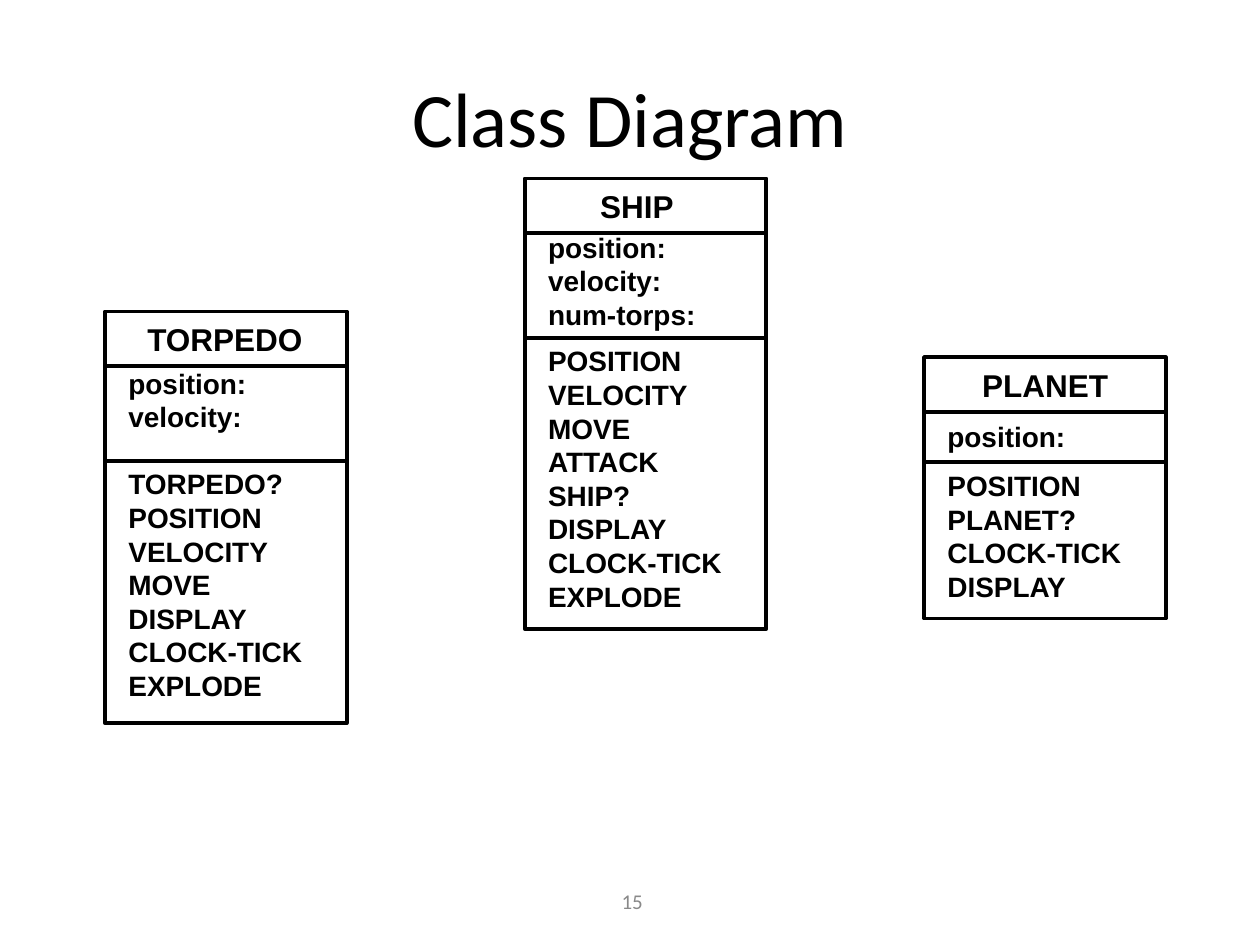
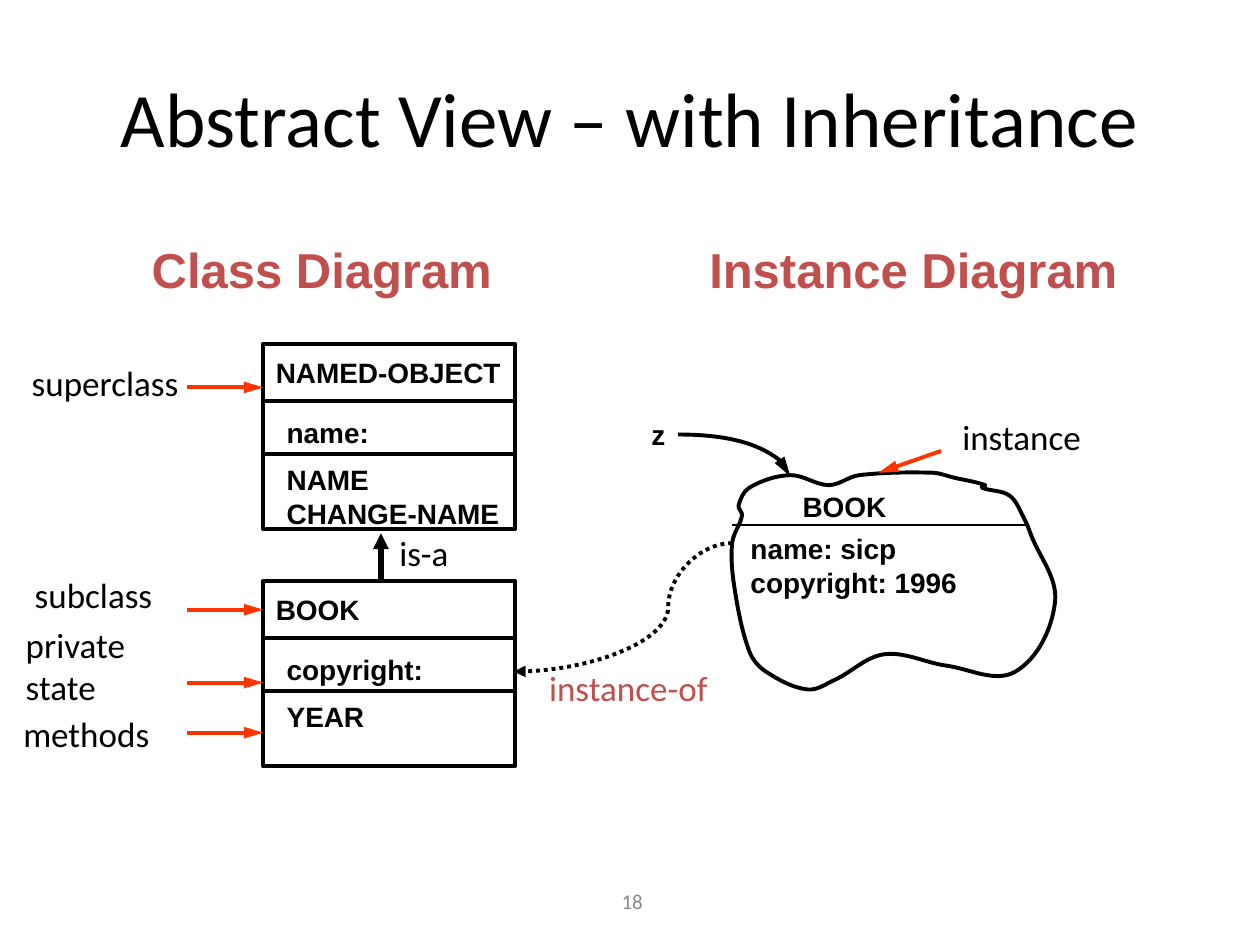
from dataclasses import dataclass

from lxml.etree import SubElement
from pptx import Presentation
from pptx.dml.color import RGBColor
from pptx.enum.dml import MSO_LINE
from pptx.enum.shapes import MSO_CONNECTOR as LINK, MSO_SHAPE
from pptx.enum.text import MSO_ANCHOR as ANCHOR, PP_ALIGN as ALIGN
from pptx.oxml.ns import qn
from pptx.util import Cm, Pt


@dataclass(frozen=True)
class TextStyle:
    font: str
    size: int
    color: str = "000000"
    bold: bool = False


@dataclass(frozen=True)
class Theme:
    ink: str = "000000"
    pointer: str = "FF3300"
    rule: float = 2.25
    thin: float = 1
    heavy: float = 3
    title: TextStyle = TextStyle("Calibri", 44)
    page: TextStyle = TextStyle("Calibri", 12, "898989")
    heading: TextStyle = TextStyle("Arial", 28, "C0504D", True)
    class_name: TextStyle = TextStyle("Arial", 18, bold=True)
    member: TextStyle = TextStyle("Arial", 16, bold=True)
    note: TextStyle = TextStyle("Calibri", 20)
    accent_note: TextStyle = TextStyle("Calibri", 20, "C0504D")


THEME = Theme()


@dataclass(frozen=True)
class Compartment:
    """One band of a class box, with its text placed inside; lengths in cm."""
    height: float
    text: str
    text_width: float
    text_drop: float = 0
    indent: float = 0.22
    style: TextStyle = THEME.member


# Shared helpers
def write(frame, text, style, align=ALIGN.LEFT):
    frame.text = text
    frame.word_wrap = True
    for paragraph in frame.paragraphs:
        paragraph.alignment = align
        for run in paragraph.runs:
            run.font.name = style.font
            run.font.size = Pt(style.size)
            run.font.bold = style.bold
            run.font.color.rgb = RGBColor.from_string(style.color)


def add_label(slide, left, top, width, text, style, align=ALIGN.LEFT):
    """Add text in a box as high as its lines."""
    line_count = len(text.splitlines())
    height = 0.25 + line_count * style.size * 0.0425
    label = slide.shapes.add_textbox(Cm(left), Cm(top), Cm(width), Cm(height))
    write(label.text_frame, text, style, align)
    return label


def set_line(line, color=THEME.ink, width=THEME.rule):
    line.color.rgb = RGBColor.from_string(color)
    line.width = Pt(width)


def add_link(slide, start, end, color=THEME.ink, width=THEME.rule,
             kind=LINK.STRAIGHT, dash=None, head="lg"):
    """Draw a connector; head is the arrowhead length, or None for no arrowhead."""
    link = slide.shapes.add_connector(kind, *(Cm(v) for v in (*start, *end)))
    set_line(link.line, color, width)
    if dash:
        link.line.dash_style = dash
    properties = link._element.spPr
    if head:
        SubElement(properties.find(qn("a:ln")), qn("a:tailEnd"),
                   type="triangle", w="med", len=head)
    SubElement(properties, qn("a:effectLst"))
    return link


def set_curve(link, preset, bend=None):
    geometry = link._element.spPr.find(qn("a:prstGeom"))
    geometry.set("prst", preset)
    if bend is not None:
        SubElement(geometry.find(qn("a:avLst")), qn("a:gd"),
                   name="adj1", fmla=f"val {bend}")


def add_titled_slide(deck, title_text, page_number, title_top, title_height):
    slide = deck.slides.add_slide(deck.slide_layouts[5])
    title = slide.shapes.title
    title.left, title.width = Cm(1.27), Cm(22.86)
    title.top, title.height = Cm(title_top), Cm(title_height)
    write(title.text_frame, title_text, THEME.title, ALIGN.CENTER)
    title.text_frame.vertical_anchor = ANCHOR.MIDDLE
    page = add_label(slide, 8.72, 17.65, 8.05, page_number, THEME.page, ALIGN.CENTER)
    page.height = Cm(1.02)
    page.text_frame.vertical_anchor = ANCHOR.MIDDLE
    return slide


def add_class_box(slide, left, top, width, compartments):
    """Stack the compartments of one class and return their rectangles."""
    bands = []
    for part in compartments:
        band = slide.shapes.add_shape(MSO_SHAPE.RECTANGLE, Cm(left), Cm(top),
                                      Cm(width), Cm(part.height))
        band.shadow.inherit = False
        band.fill.background()
        set_line(band.line)
        add_label(slide, left + part.indent, top + part.text_drop,
                  part.text_width, part.text, part.style)
        bands.append(band)
        top += part.height
    return bands


# Slide 1: three classes side by side
def build_class_slide(deck):
    slide = add_titled_slide(deck, "Class Diagram", "15", 0.76, 3.18)
    classes = [
        (10.58, 3.6, "SHIP", 1.27, 2.08,
         Compartment(2.11, "position:\nvelocity:\vnum-torps:", 3.55, -0.18),
         Compartment(5.87, "POSITION\nVELOCITY\nMOVE\nATTACK\vSHIP?\nDISPLAY\n"
                           "CLOCK-TICK\nEXPLODE", 4.1)),
        (18.63, 7.2, "PLANET", 0.92, 3.15,
         Compartment(1.02, "position:", 2.95, 0.03),
         Compartment(3.15, "POSITION\nPLANET?\nCLOCK-TICK\nDISPLAY", 4.1)),
        (2.12, 6.28, "TORPEDO", 0.6, 3.7,
         Compartment(1.91, "position:\nvelocity:", 2.95, -0.12),
         Compartment(5.29, "TORPEDO?\nPOSITION\nVELOCITY\nMOVE\vDISPLAY\n"
                           "CLOCK-TICK\vEXPLODE", 4.1)),
    ]
    for left, top, name, indent, name_width, state, methods in classes:
        header = Compartment(1.1, name, name_width, 0.05, indent, THEME.class_name)
        add_class_box(slide, left, top, 4.87, (header, state, methods))


# Slide 2, left: superclass and subclass with their pointers
def add_inheritance(slide, left, top):
    subclass_drop = 4.78
    classes = [(0, ("NAMED-OBJECT", 5.1), ("name:", 2.25), ("NAME\vCHANGE-NAME", 4.87)),
               (subclass_drop, ("BOOK", 2.25), ("copyright:", 3.35), ("YEAR", 2.15))]
    for drop, name, state, methods in classes:
        header, *_ = add_class_box(slide, left, top + drop, 5.07, (
            Compartment(1.16, *name, 0.12, 0),
            Compartment(1.06, *state, 0.17),
            Compartment(1.52, *methods, 0.05)))

    # Pointers from the notes to the class parts
    notes = [("superclass", -4.92, 0.23, 3.55, 0.88), ("subclass", -4.86, 4.5, 2.95, 5.36),
             ("private\vstate", -5.04, 5.52, 4.01, 6.83), ("methods", -5.09, 7.3, 3.81, 7.84)]
    for text, dx, dy, width, pointer_dy in notes:
        add_label(slide, left + dx, top + dy, width, text, THEME.note)
        pointer = add_link(slide, (left - 1.53, top + pointer_dy),
                           (left, top + pointer_dy), THEME.pointer)
        if text == "subclass":
            pointer.end_connect(header, 1)

    # Inheritance arrow
    add_link(slide, (left + 2.37, top + subclass_drop), (left + 2.37, top + 3.82),
             width=THEME.heavy, head="med")
    add_label(slide, left + 2.49, top + 3.66, 1.6, "is-a", THEME.note)


CLOUD_POINTS = [
    (2.18, 0.25), (1.4, 0.05), (0.58, 0.3), (0.36, 0.66), (0.43, 0.86),
    (0.23, 1.42), (0.28, 2.34), (0.58, 3.61), (0.91, 4.01), (1.75, 4.37), (2.31, 4.17),
    (3.3, 3.66), (4.55, 3.89), (5.94, 4.01), (6.74, 2.6), (6.25, 1.24), (6.1, 0.89),
    (5.82, 0.46), (5.26, 0.3), (5.33, 0.25), (4.7, 0.1), (4.27, 0), (2.79, 0.05)]


def round_off(outline):
    """Turn the straight sides of a closed outline into curves through its corners."""
    corners = [complex(int(pt.get("x")), int(pt.get("y"))) for pt in outline.iter(qn("a:pt"))]
    for side in outline.findall(qn("a:lnTo")):
        outline.remove(side)
    count = len(corners)
    for i in range(count):
        before, start, end, after = (corners[(i + k) % count] for k in (-1, 0, 1, 2))
        reach = abs(end - start) / 3
        leave = start + reach * (end - before) / abs(end - before)
        arrive = end - reach * (after - start) / abs(after - start)
        curve = SubElement(outline, qn("a:cubicBezTo"))
        for point in (leave, arrive, end):
            SubElement(curve, qn("a:pt"), x=str(round(point.real)), y=str(round(point.imag)))
    outline.append(outline.find(qn("a:close")))


# Slide 2, right: the instance and its links
def add_instance(slide, left, top):
    def at(dx, dy):
        return left + dx, top + dy

    # Cloud outline with its name line
    first, *rest = [(Cm(x), Cm(y)) for x, y in CLOUD_POINTS]
    builder = slide.shapes.build_freeform(*first)
    builder.add_line_segments(rest, close=True)
    cloud = builder.convert_to_shape(Cm(left), Cm(top))
    round_off(cloud._element.spPr.find(".//" + qn("a:path")))
    cloud.shadow.inherit = False
    cloud.fill.background()
    set_line(cloud.line)
    add_link(slide, at(0.23, 1.06), at(6.2, 1.06), width=THEME.thin, head=None)

    # Contents and notes
    labels = [(1.4, 0.22, 2.25, "BOOK", THEME.member),
              (0.35, 1.06, 5.21, "name: sicp\vcopyright: 1996", THEME.member),
              (-1.65, -1.24, 0.9, "z", THEME.member),
              (4.62, -1.27, 3, "instance", THEME.note),
              (-3.71, 3.78, 3.8, "instance-of", THEME.accent_note)]
    for dx, dy, width, text, style in labels:
        add_label(slide, *at(dx, dy), width, text, style)

    # Links
    add_link(slide, at(4.44, -0.44), at(3.18, 0), THEME.pointer)
    variable = add_link(slide, at(-0.86, -0.77), at(1.4, 0.07), kind=LINK.CURVE)
    set_curve(variable, "curvedConnector2")
    instance_of = add_link(slide, at(0.23, 1.42), at(-4.17, 4.01), kind=LINK.CURVE,
                           dash=MSO_LINE.ROUND_DOT, head="med")
    set_curve(instance_of, "curvedConnector3", 29300)


def add_headings(slide, left, top):
    """One line with both headings, the second at a tab stop."""
    headings = add_label(slide, left, top, 21.06, "Class Diagram\tInstance Diagram",
                         THEME.heading)
    headings.text_frame.margin_left = Cm(1.36)
    headings.text_frame.margin_right = 0
    properties = headings.text_frame.paragraphs[0]._p.get_or_add_pPr()
    tabs = SubElement(properties, qn("a:tabLst"))
    SubElement(tabs, qn("a:tab"), pos=str(Cm(11.24)), algn="l")


def build_inheritance_slide(deck):
    slide = add_titled_slide(deck, "Abstract View – with Inheritance", "18", 0.4, 3.9)
    add_headings(slide, 1.7, 4.7)
    add_inheritance(slide, 5.31, 6.93)
    add_instance(slide, 14.53, 9.53)


def main():
    deck = Presentation()
    deck.slide_width, deck.slide_height = Cm(25.4), Cm(19.05)
    build_class_slide(deck)
    build_inheritance_slide(deck)
    deck.save("out.pptx")


if __name__ == "__main__":
    main()
